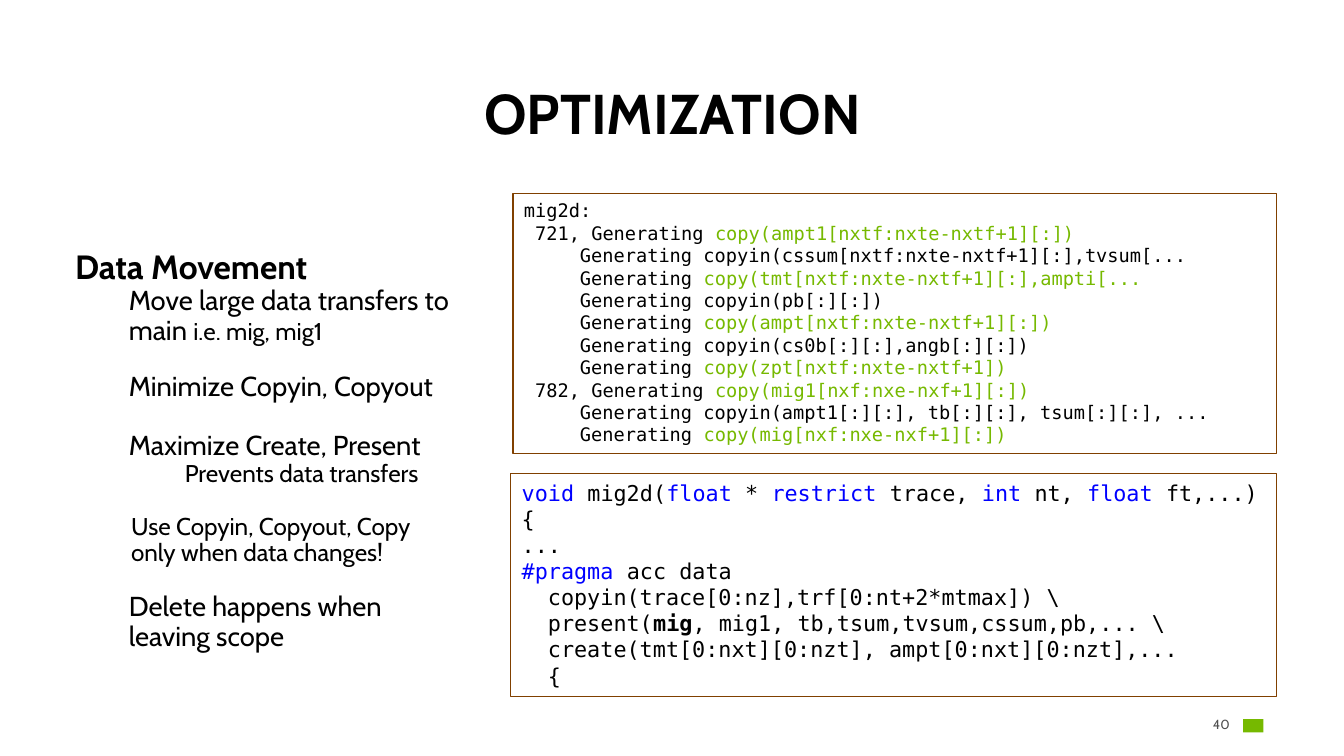
import pptx
import pptx.dml.color
import pptx.enum.shapes
import pptx.enum.text
import pptx.oxml
import pptx.oxml.ns
import pptx.util

Inches = pptx.util.Inches
Pt = pptx.util.Pt
RGBColor = pptx.dml.color.RGBColor
ALIGN = pptx.enum.text.PP_ALIGN
ANCHOR = pptx.enum.text.MSO_ANCHOR

BLACK = RGBColor(0x00, 0x00, 0x00)
GREEN = RGBColor(0x76, 0xB9, 0x00)
BLUE = RGBColor(0x00, 0x00, 0xFF)
BROWN = RGBColor(0x80, 0x40, 0x00)
GREY = RGBColor(0x50, 0x50, 0x50)

TEXT_FONT = "Cabin"
CODE_FONT = "DejaVu Sans Mono"

# Advice: level, left edge in inches, size, space before, text
ADVICE = [
    (0, 0, 21.6, 0, "Data Movement"),
    (1, 0.48, 17.6, 0, "Move large data transfers to"),
    (1, 0.48, 17.6, 0, "main "),
    (1, 0.48, 17.6, 17, "Minimize Copyin, Copyout"),
    (1, 0.48, 17.6, 19.2, "Maximize Create, Present"),
    (2, 0.98, 15.6, 0, "Prevents data transfers"),
    (2, 0.5, 15.6, 17, "Use Copyin, Copyout, Copy"),
    (2, 0.5, 15.6, 0, "only when data changes!"),
    (1, 0.48, 17.6, 17, "Delete happens when"),
    (1, 0.48, 17.6, 0, "leaving scope"),
]

# Compiler log: what stands before "Generating", and the clause after it
LOG = [
    (" 721, ", "copy(ampt1[nxtf:nxte-nxtf+1][:])"),
    ("\t", "copyin(cssum[nxtf:nxte-nxtf+1][:],tvsum[..."),
    ("\t", "copy(tmt[nxtf:nxte-nxtf+1][:],ampti[..."),
    ("\t", "copyin(pb[:][:])"),
    ("\t", "copy(ampt[nxtf:nxte-nxtf+1][:])"),
    ("\t", "copyin(cs0b[:][:],angb[:][:])"),
    ("\t", "copy(zpt[nxtf:nxte-nxtf+1])"),
    (" 782, ", "copy(mig1[nxf:nxe-nxf+1][:])"),
    ("\t", "copyin(ampt1[:][:], tb[:][:], tsum[:][:], ..."),
    ("\t", "copy(mig[nxf:nxe-nxf+1][:])"),
]

# Source code, split where the highlighting changes
KEYWORDS = {"void", "float", "restrict", "int", "#pragma"}
SOURCE = [
    ["void", " mig2d(", "float", " * ", "restrict", " trace, ", "int",
     " nt, ", "float", " ft,...)"],
    ["{"],
    ["..."],
    ["#pragma", " acc data"],
    ["  copyin(trace[0:nz],trf[0:nt+2*mtmax]) \\"],
    ["  present(", "mig", ", mig1, tb,tsum,tvsum,cssum,pb,... \\"],
    ["  create(tmt[0:nxt][0:nzt], ampt[0:nxt][0:nzt],..."],
    ["  {"],
]


def place(shape, left, top, width, height):
    shape.left, shape.top = Inches(left), Inches(top)
    shape.width, shape.height = Inches(width), Inches(height)


def style(paragraph, name, size, color=None, bold=False):
    font = paragraph.font
    font.name, font.size, font.bold = name, Pt(size), bold
    if color is not None:
        font.color.rgb = color


def add_run(paragraph, text, color=None):
    run = paragraph.add_run()
    run.text = text
    if color is not None:
        run.font.color.rgb = color
    return run


def next_paragraph(frame, index):
    return frame.paragraphs[0] if index == 0 else frame.add_paragraph()


def fill_title(title):
    place(title, 0.55, 0.71, 10.91, 0.65)
    frame = title.text_frame
    frame.auto_size = pptx.enum.text.MSO_AUTO_SIZE.NONE
    frame.vertical_anchor = ANCHOR.BOTTOM
    heading = frame.paragraphs[0]
    add_run(heading, "OPTIMIZATION")
    heading.alignment = ALIGN.CENTER
    heading.line_spacing = 0.9
    style(heading, TEXT_FONT, 36, BLACK, bold=True)


def fill_advice(body):
    place(body, 0.57, 2.19, 10.88, 4.27)
    frame = body.text_frame
    frame.auto_size = pptx.enum.text.MSO_AUTO_SIZE.NONE
    for index, (level, left, size, gap, text) in enumerate(ADVICE):
        paragraph = next_paragraph(frame, index)
        paragraph.level = level
        paragraph.line_spacing = 0.9
        paragraph.space_before = Pt(gap)
        properties = paragraph._p.get_or_add_pPr()
        properties.set("marL", str(Inches(left)))
        properties.set("indent", "0")
        pptx.oxml.ns.qn("a:buNone")
        properties.append(pptx.oxml.parse_xml(
            f"<a:buNone {pptx.oxml.ns.nsdecls('a')}/>"))
        style(paragraph, TEXT_FONT, size, BLACK, bold=level == 0)
        add_run(paragraph, text)
    # Smaller example after "main"
    example = add_run(frame.paragraphs[2], "i.e. mig, mig1")
    example.font.size = Pt(15.6)


def add_code_box(slide, left, top, width, height, size, lines):
    """Draw a framed listing; each line is a list of (text, color, bold)."""
    box = slide.shapes.add_shape(
        pptx.enum.shapes.MSO_SHAPE.RECTANGLE,
        Inches(left), Inches(top), Inches(width), Inches(height))
    box.shadow.inherit = False
    box.fill.background()
    box.line.color.rgb = BROWN
    box.line.width = Pt(0.75)
    frame = box.text_frame
    frame.word_wrap = True
    frame.vertical_anchor = ANCHOR.TOP
    for index, pieces in enumerate(lines):
        paragraph = next_paragraph(frame, index)
        paragraph.alignment = ALIGN.LEFT
        paragraph._p.get_or_add_pPr().append(pptx.oxml.parse_xml(
            f"<a:tabLst {pptx.oxml.ns.nsdecls('a')}>"
            f'<a:tab pos="{Inches(0.5)}" algn="l"/></a:tabLst>'))
        style(paragraph, CODE_FONT, size)
        for text, color, bold in pieces:
            run = add_run(paragraph, text, color)
            if bold:
                run.font.bold = True


def log_lines():
    lines = [[("mig2d:", BLACK, False)]]
    for lead, clause in LOG:
        color = GREEN if clause.startswith("copy(") else BLACK
        lines.append([(lead + "Generating ", BLACK, False),
                      (clause, color, False)])
    return lines


def source_lines():
    return [[(text, BLUE if text in KEYWORDS else BLACK, text == "mig")
             for text in pieces] for pieces in SOURCE]


def add_footer(slide):
    # Page number
    number = slide.shapes.add_textbox(
        Inches(10.63), Inches(6.38), Inches(0.35), Inches(0.18))
    frame = number.text_frame
    frame.word_wrap = True
    frame.vertical_anchor = ANCHOR.MIDDLE
    frame.margin_left = frame.margin_right = 0
    frame.margin_top = frame.margin_bottom = 0
    paragraph = frame.paragraphs[0]
    paragraph.alignment = ALIGN.RIGHT
    style(paragraph, TEXT_FONT, 8.5, GREY)
    add_run(paragraph, "40")
    # Plain brand block
    block = slide.shapes.add_shape(
        pptx.enum.shapes.MSO_SHAPE.RECTANGLE,
        Inches(11.1), Inches(6.42), Inches(0.18), Inches(0.12))
    block.shadow.inherit = False
    block.fill.solid()
    block.fill.fore_color.rgb = GREEN
    block.line.fill.background()


def main():
    deck = pptx.Presentation()
    deck.slide_width, deck.slide_height = Inches(12), Inches(6.75)
    slide = deck.slides.add_slide(deck.slide_layouts[1])
    fill_title(slide.shapes.title)
    fill_advice(slide.placeholders[1])
    add_code_box(slide, 4.56, 4.23, 6.84, 1.99, 14, source_lines())
    add_code_box(slide, 4.58, 1.73, 6.82, 2.32, 12, log_lines())
    add_footer(slide)
    deck.save("out.pptx")


if __name__ == "__main__":
    main()
